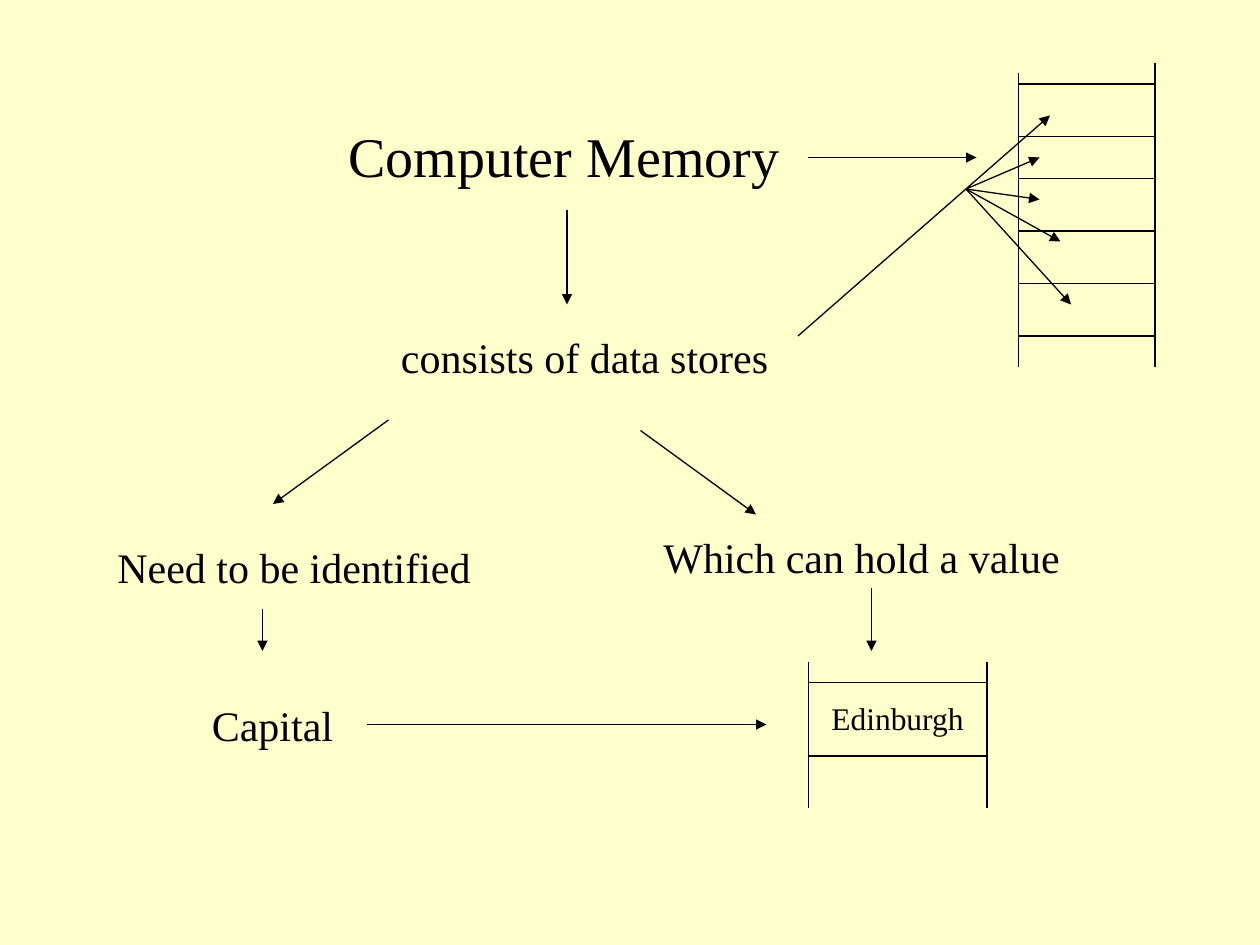
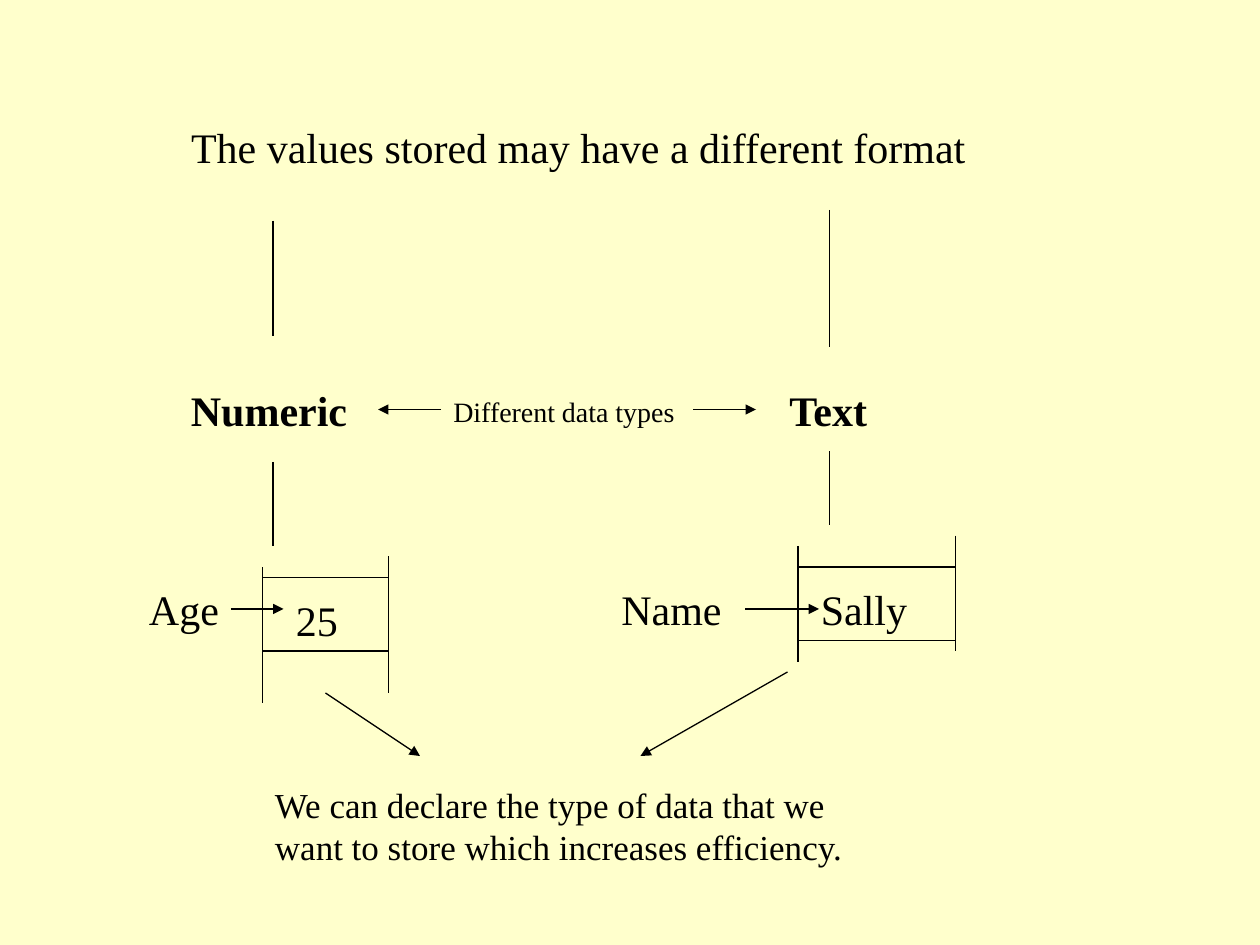
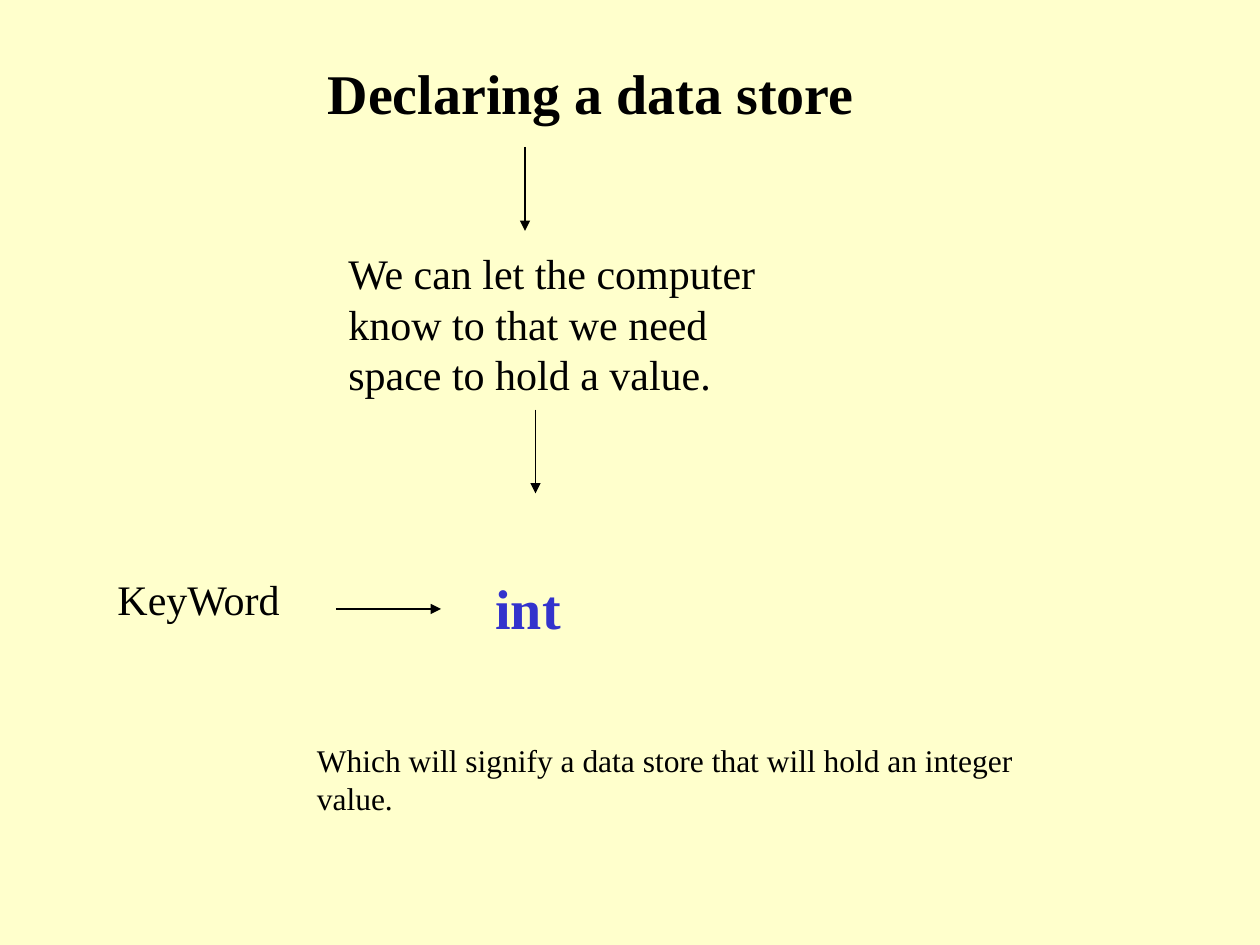
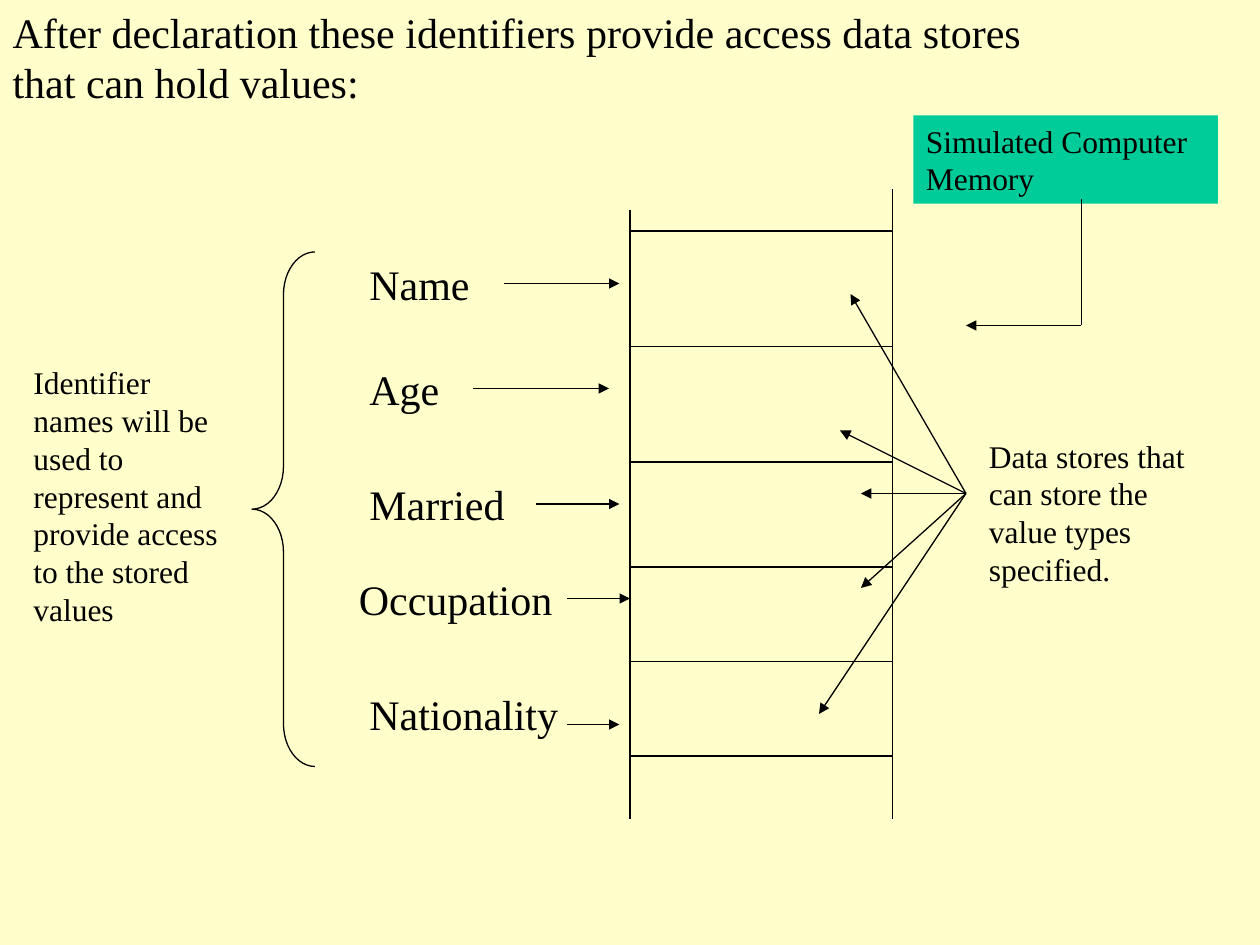
from lxml import etree
from pptx import Presentation
from pptx import util as u
from pptx.dml.color import RGBColor
from pptx.enum import shapes, text
from pptx.oxml.ns import qn

CREAM = RGBColor(0xFF, 0xFF, 0xCC)
BLACK = RGBColor(0x00, 0x00, 0x00)
BLUE = RGBColor(0x33, 0x33, 0xCC)
GREEN = RGBColor(0x00, 0xCC, 0x99)
FONT = "Times New Roman"
LINE_WIDTH = u.Pt(0.75)

prs = Presentation()
prs.slide_width, prs.slide_height = u.Inches(10), u.Inches(7.5)
CELL = prs.slide_width // 120  # the grid has 120 columns and 90 rows

prs.slide_master.background.fill.solid()
prs.slide_master.background.fill.fore_color.rgb = CREAM


def put_text(s, col, row, cols, words, size=24, lines=1, bold=False,
             color=BLACK, title=False):
    """Write words at a grid cell, in a box as high as its number of lines."""
    height = u.Pt(lines * size * 1.2) + u.Inches(0.1)
    frame = (col * CELL, row * CELL, cols * CELL, height)
    if title:
        sp = s.shapes.title
        sp.left, sp.top, sp.width, sp.height = frame
    else:
        sp = s.shapes.add_textbox(*frame)
    tf = sp.text_frame
    tf.word_wrap = True
    tf.auto_size = text.MSO_AUTO_SIZE.SHAPE_TO_FIT_TEXT
    tf.vertical_anchor = text.MSO_ANCHOR.TOP
    tf.text = words
    p = tf.paragraphs[0]
    p.alignment = text.PP_ALIGN.LEFT
    p.font.name, p.font.size, p.font.bold = FONT, u.Pt(size), bold
    p.font.color.rgb = color
    return sp


def draw_lines(s, segments, arrow=False):
    """Draw (col, row, end col, end row) segments, with a head at the end if arrow."""
    for segment in segments:
        cx = s.shapes.add_connector(shapes.MSO_CONNECTOR.STRAIGHT,
                                    *(n * CELL for n in segment))
        cx.line.color.rgb = BLACK
        cx.line.width = LINE_WIDTH
        sp_pr = cx._element.spPr
        if arrow:
            etree.SubElement(sp_pr.find(qn("a:ln")), qn("a:tailEnd"), type="triangle")
        etree.SubElement(sp_pr, qn("a:effectLst"))


memory, data_types, declaring, identifiers = (
    prs.slides.add_slide(prs.slide_layouts[5]) for _ in range(4))

# Memory cells: left rail (col, top, bottom), right rail, rows of the rungs
for s, (left, top, bottom), (right, right_top, right_bottom), rungs in [
    (memory, (97, 7, 35), (110, 6, 35), (8, 13, 17, 22, 27, 32)),
    (memory, (77, 63, 77), (94, 63, 77), (65, 72)),
    (data_types, (25, 54, 67), (37, 53, 66), (55, 62)),
    (data_types, (76, 52, 63), (91, 51, 62), (54, 61)),
    (identifiers, (60, 20, 78), (85, 18, 78), (22, 33, 44, 54, 63, 72)),
]:
    draw_lines(s, [(left, top, left, bottom), (right, right_top, right, right_bottom)])
    draw_lines(s, [(left, row, right, row) for row in rungs])

# Slide 1: computer memory
s = memory
put_text(s, 32, 11, 44, "Computer Memory", size=32, title=True)
put_text(s, 37, 31, 40, "consists of data stores")
put_text(s, 62, 50, 44, "Which can hold a value")
put_text(s, 10, 51, 41, "Need to be identified")
put_text(s, 19, 66, 24, "Capital")
put_text(s, 78, 66, 17, "Edinburgh", size=18)
draw_lines(s, [
    (54, 20, 54, 29), (61, 41, 72, 49), (37, 40, 26, 48),
    (83, 56, 83, 62), (25, 58, 25, 62), (35, 69, 73, 69),
    (77, 15, 93, 15), (76, 32, 100, 11),
], arrow=True)
draw_lines(s, [(92, 18, col, row) for col, row in
               [(99, 15), (99, 19), (101, 23), (102, 29)]], arrow=True)

# Slide 2: data types
s = data_types
put_text(s, 17, 11, 83, "The values stored may have a different format", title=True)
put_text(s, 17, 36, 19, "Numeric", bold=True)
put_text(s, 74, 36, 12, "Text", bold=True)
put_text(s, 42, 37, 25, "Different data types", size=16)
put_text(s, 13, 55, 10, "Age")
put_text(s, 27, 56, 13, "25")
put_text(s, 58, 55, 18, "Name")
put_text(s, 77, 55, 15, "Sally")
put_text(s, 25, 74, 58, "We can declare the type of data that we want to store "
         "which increases efficiency.", size=20, lines=2)
draw_lines(s, [(26, 21, 26, 32), (26, 44, 26, 52), (79, 20, 79, 33), (79, 43, 79, 50)])
draw_lines(s, [
    (22, 58, 27, 58), (71, 58, 78, 58), (31, 66, 40, 72),
    (75, 64, 61, 72), (66, 39, 72, 39), (42, 39, 36, 39),
], arrow=True)

# Slide 3: declaring a data store
s = declaring
put_text(s, 30, 5, 54, "Declaring a data store", size=32, bold=True, title=True)
put_text(s, 32, 23, 46, "We can let the computer know to that we need space to "
         "hold a value.", lines=3)
put_text(s, 46, 54, 17, "int", size=32, bold=True, color=BLUE)
put_text(s, 10, 54, 22, "KeyWord")
put_text(s, 29, 70, 74, "Which will signify a data store that will hold an integer "
         "value.", size=18, lines=2)
draw_lines(s, [(50, 14, 50, 22), (51, 39, 51, 47), (32, 58, 42, 58)], arrow=True)

# Slide 4: identifiers and their data stores
s = identifiers
put_text(s, 0, 0, 102, "After declaration these identifiers provide access data "
         "stores that can hold values:", lines=2, title=True)
for name, col, row, cols, pointer in [
    ("Name", 34, 24, 17, (48, 27, 59, 27)),
    ("Age", 34, 34, 13, (45, 37, 58, 37)),
    ("Married", 34, 45, 24, (51, 48, 59, 48)),
    ("Occupation", 33, 54, 34, (54, 57, 60, 57)),
    ("Nationality", 34, 65, 30, (54, 69, 59, 69)),
]:
    put_text(s, col, row, cols, name)
    draw_lines(s, [pointer], arrow=True)

brace = s.shapes.add_shape(shapes.MSO_SHAPE.LEFT_BRACE,
                           24 * CELL, 24 * CELL, 6 * CELL, 49 * CELL)
brace.adjustments[0] = 0.68
brace.shadow.inherit = False
brace.fill.background()
brace.line.color.rgb = BLACK
brace.line.width = LINE_WIDTH

put_text(s, 2, 34, 21, "Identifier names will be used to represent and provide "
         "access to the stored values", size=18, lines=7)
caption = put_text(s, 87, 11, 29, "Simulated Computer Memory", size=18, lines=2)
caption.fill.solid()
caption.fill.fore_color.rgb = GREEN
put_text(s, 93, 41, 23, "Data stores that can store the value types specified.",
         size=18, lines=4)
draw_lines(s, [(103, 19, 103, 31)])
draw_lines(s, [(103, 31, 92, 31)], arrow=True)
draw_lines(s, [(92, 47, col, row) for col, row in
               [(81, 28), (80, 41), (82, 47), (82, 56), (78, 68)]], arrow=True)

prs.save("out.pptx")
